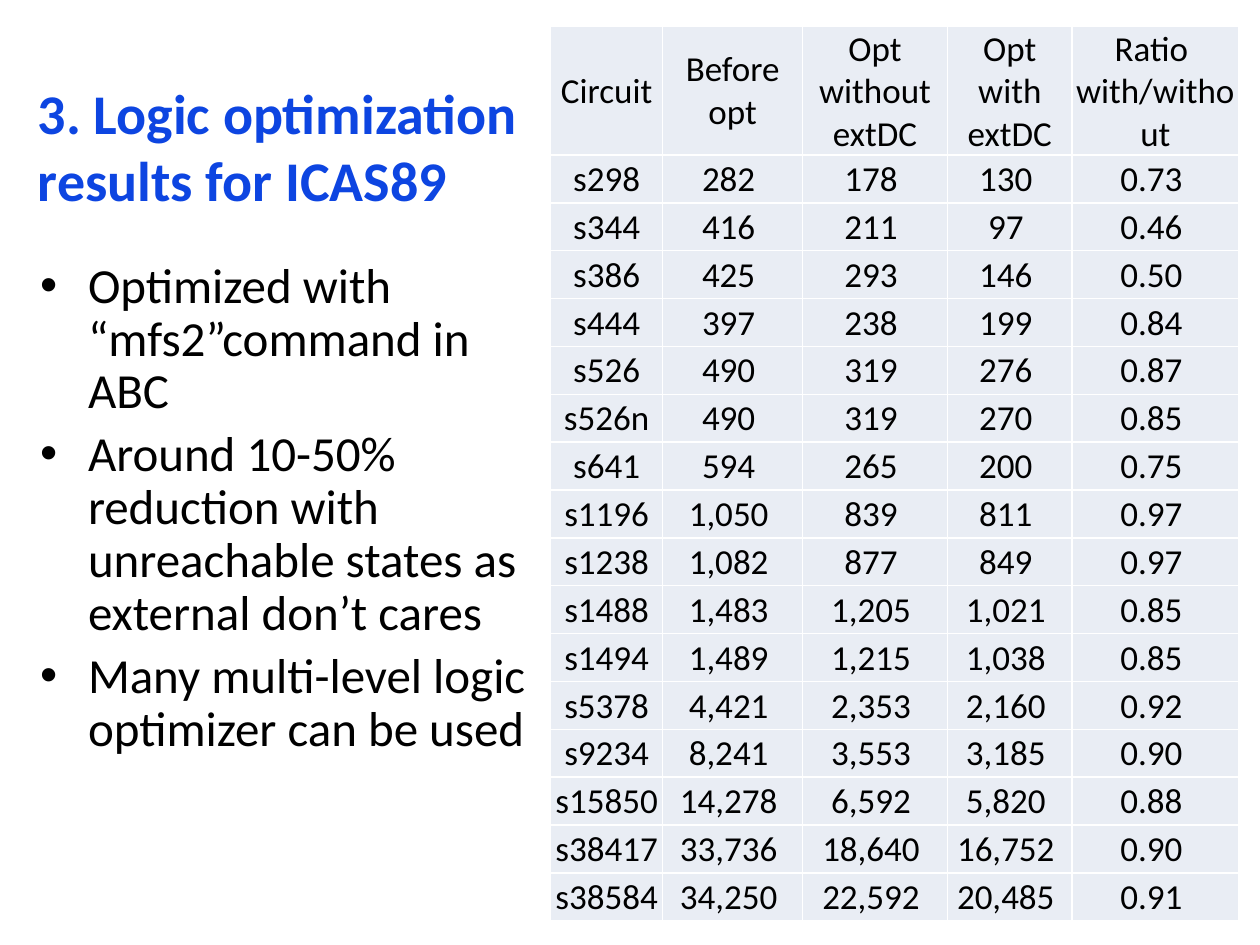
"""Build the slide on logic optimization results with its circuit table."""
import pptx
import pptx.dml.color
import pptx.enum.text
import pptx.oxml
import pptx.oxml.ns
import pptx.util

Inches = pptx.util.Inches
Pt = pptx.util.Pt
PP_ALIGN = pptx.enum.text.PP_ALIGN
MSO_ANCHOR = pptx.enum.text.MSO_ANCHOR

BLUE = pptx.dml.color.RGBColor(0x0D, 0x45, 0xE1)
BLACK = pptx.dml.color.RGBColor(0x00, 0x00, 0x00)
PALE = pptx.dml.color.RGBColor(0xE9, 0xED, 0xF4)
WHITE = pptx.dml.color.RGBColor(0xFF, 0xFF, 0xFF)

TITLE_FONT = {"name": "Calibri", "size": Pt(32), "bold": True}
BODY_FONT = {"name": "Calibri", "size": Pt(28), "bold": False}
CELL_FONT = {"name": "Calibri", "size": Pt(20), "bold": False}
TITLE_BOX = {"left": Inches(0.2), "top": Inches(0.13),
             "width": Inches(4.02), "height": Inches(2.05)}
CELL_FORMAT = {"margin_left": Inches(0.01), "margin_right": Inches(0.01),
               "margin_top": Inches(0.01), "margin_bottom": 0,
               "vertical_anchor": MSO_ANCHOR.MIDDLE}
BULLETS = [
    "Optimized with “mfs2”command in ABC",
    "Around 10-50% reduction with unreachable states as external don’t cares",
    "Many multi-level logic optimizer can be used",
]
HEADERS = ["Circuit", "Before opt", "Opt without extDC", "Opt with extDC",
           "Ratio \vwith/without"]
RESULTS = [
    ("s298", 282, 178, 130, 0.73),
    ("s344", 416, 211, 97, 0.46),
    ("s386", 425, 293, 146, 0.50),
    ("s444", 397, 238, 199, 0.84),
    ("s526", 490, 319, 276, 0.87),
    ("s526n", 490, 319, 270, 0.85),
    ("s641", 594, 265, 200, 0.75),
    ("s1196", 1050, 839, 811, 0.97),
    ("s1238", 1082, 877, 849, 0.97),
    ("s1488", 1483, 1205, 1021, 0.85),
    ("s1494", 1489, 1215, 1038, 0.85),
    ("s5378", 4421, 2353, 2160, 0.92),
    ("s9234", 8241, 3553, 3185, 0.90),
    ("s15850", 14278, 6592, 5820, 0.88),
    ("s38417", 33736, 18640, 16752, 0.90),
    ("s38584", 34250, 22592, 20485, 0.91),
]
FORMATS = ["{}", "{:,} ", "{:,} ", "{:,} ", "{:.2f} "]
COL_WIDTHS = [0.89, 1.11, 1.15, 0.99, 1.32]
ROW_HEIGHTS = [1.02] + [0.38] * len(RESULTS)


def set_font(font, values, color):
    for name, value in values.items():
        setattr(font, name, value)
    font.color.rgb = color


def add_border(cell, side):
    ns = pptx.oxml.ns.nsdecls("a")
    cell._tc.get_or_add_tcPr().append(pptx.oxml.parse_xml(
        f'<a:{side} {ns} w="12700"><a:solidFill><a:srgbClr val="{WHITE}"/>'
        f'</a:solidFill></a:{side}>'))


prs = pptx.Presentation()
prs.slide_width = Inches(10)
prs.slide_height = Inches(7.5)
s = prs.slides.add_slide(prs.slide_layouts[5])

sp = s.shapes.title
for name, value in TITLE_BOX.items():
    setattr(sp, name, value)
tf = sp.text_frame
tf.text = "3. Logic optimization results for ICAS89"
tf.word_wrap = True
tf.auto_size = pptx.enum.text.MSO_AUTO_SIZE.NONE
tf.vertical_anchor = MSO_ANCHOR.MIDDLE
p = tf.paragraphs[0]
p.alignment = PP_ALIGN.LEFT
set_font(p.runs[0].font, TITLE_FONT, BLUE)

sp = s.shapes.add_textbox(Inches(0.22), Inches(2.02), Inches(4.15), Inches(4.65))
tf = sp.text_frame
tf.word_wrap = True
for i, text in enumerate(BULLETS):
    p = tf.add_paragraph() if i else tf.paragraphs[0]
    p.line_spacing = 0.9
    if i:
        p.space_before = Pt(5.6)
    pPr = p._p.get_or_add_pPr()
    pPr.set("marL", str(Inches(0.38)))
    pPr.set("indent", str(-Inches(0.38)))
    ns = pptx.oxml.ns.nsdecls("a")
    pPr.append(pptx.oxml.parse_xml(f'<a:buFont {ns} typeface="Arial"/>'))
    pPr.append(pptx.oxml.parse_xml(f'<a:buChar {ns} char="•"/>'))
    r = p.add_run()
    r.text = text
    set_font(r.font, BODY_FONT, BLACK)

rows = [HEADERS] + [[f.format(v) for f, v in zip(FORMATS, result)]
                    for result in RESULTS]
table = s.shapes.add_table(
    len(rows), len(HEADERS), Inches(4.37), Inches(0.21),
    Inches(sum(COL_WIDTHS)), Inches(sum(ROW_HEIGHTS))).table
table.first_row = False
table.horz_banding = False
for col, width in zip(table.columns, COL_WIDTHS):
    col.width = Inches(width)
for row, height, texts in zip(table.rows, ROW_HEIGHTS, rows):
    row.height = Inches(height)
    for cell, text in zip(row.cells, texts):
        cell.text = text
        for name, value in CELL_FORMAT.items():
            setattr(cell, name, value)
        for side in ("lnL", "lnR", "lnT", "lnB"):
            add_border(cell, side)
        cell.fill.solid()
        cell.fill.fore_color.rgb = PALE
        p = cell.text_frame.paragraphs[0]
        p.alignment = PP_ALIGN.CENTER
        for r in p.runs:
            set_font(r.font, CELL_FONT, BLACK)

prs.save("out.pptx")
